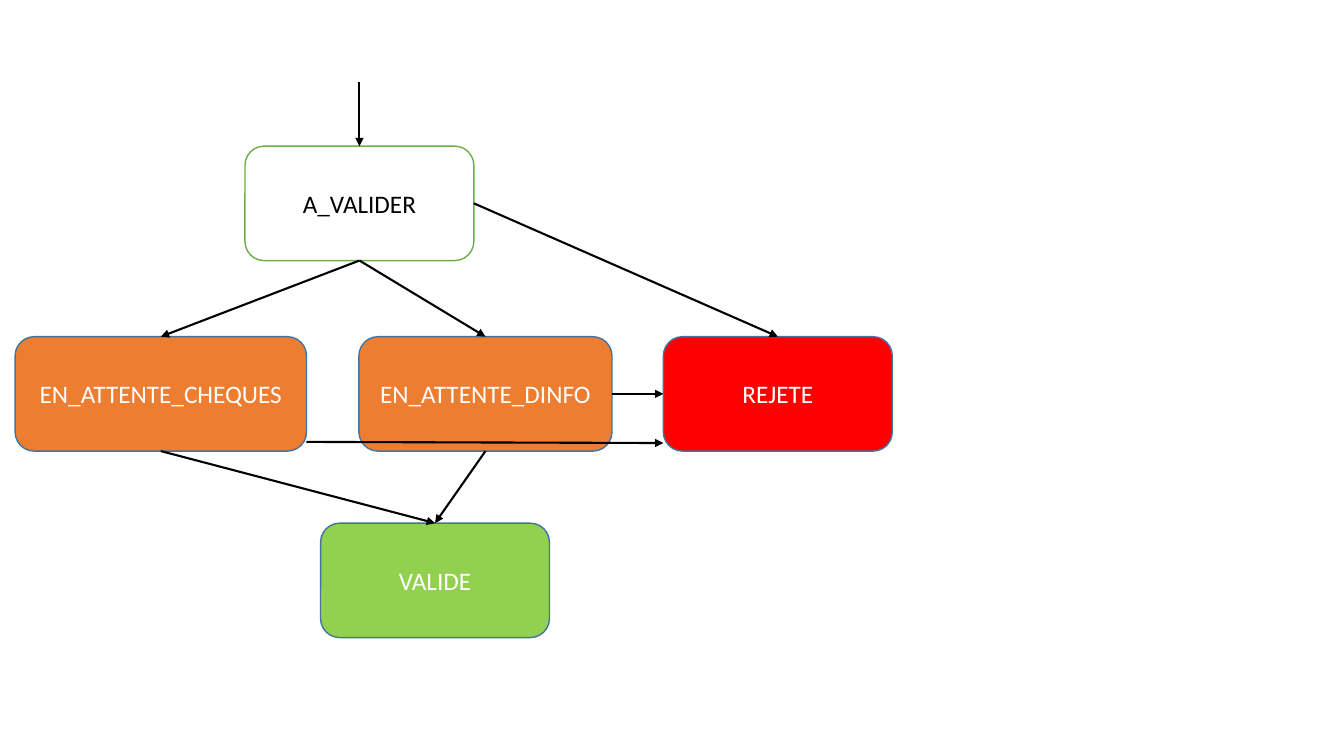
import pptx
import pptx.util
import pptx.dml.color
import pptx.enum.shapes
import pptx.enum.text
import pptx.oxml.ns
from lxml import etree
from dataclasses import dataclass


@dataclass(frozen=True)
class Theme:
    font: str = "Calibri"
    text_size: float = 18
    border_width: float = 1
    arrow_width: float = 1.5
    white: str = "FFFFFF"
    black: str = "000000"
    green_border: str = "70AD47"
    blue_border: str = "43739E"
    waiting: str = "ED7D31"
    accepted: str = "92D050"
    rejected: str = "FF0000"


THEME = Theme()
SLIDE_WIDTH, SLIDE_HEIGHT = 13.33, 7.5
STATE_HEIGHT = 1.135
ROW_TOPS = (1.45, 3.34, 5.19)

# state: (row, left, width, fill, border, text colour)
STATES = {
    "A_VALIDER": (0, 2.43, 2.27, THEME.white, THEME.green_border, THEME.black),
    "EN_ATTENTE_CHEQUES": (1, 0.15, 2.89, THEME.waiting, THEME.blue_border, THEME.white),
    "EN_ATTENTE_DINFO": (1, 3.56, 2.51, THEME.waiting, THEME.blue_border, THEME.white),
    "VALIDE": (2, 3.18, 2.27, THEME.accepted, THEME.blue_border, THEME.white),
    "REJETE": (1, 6.58, 2.27, THEME.rejected, THEME.blue_border, THEME.white),
}

# Connection sites of a rounded rectangle
TOP, LEFT, BOTTOM, RIGHT = range(4)

TRANSITIONS = [
    ("A_VALIDER", BOTTOM, "EN_ATTENTE_CHEQUES", TOP),
    ("A_VALIDER", BOTTOM, "EN_ATTENTE_DINFO", TOP),
    ("EN_ATTENTE_CHEQUES", BOTTOM, "VALIDE", TOP),
    ("EN_ATTENTE_DINFO", BOTTOM, "VALIDE", TOP),
    ("A_VALIDER", RIGHT, "REJETE", TOP),
    ("EN_ATTENTE_DINFO", RIGHT, "REJETE", LEFT),
]

ENTRY_LENGTH = 0.64
# Shares of the state height where the low arrow leaves and arrives
LOW_EXIT, LOW_ARRIVAL = 0.92, 0.93


def rgb(code):
    return pptx.dml.color.RGBColor.from_string(code)


def add_state(slide, label, row, left, width, fill, border, text_colour):
    state = slide.shapes.add_shape(
        pptx.enum.shapes.MSO_SHAPE.ROUNDED_RECTANGLE,
        *map(pptx.util.Inches, (left, ROW_TOPS[row], width, STATE_HEIGHT)))
    state.shadow.inherit = False
    state.fill.solid()
    state.fill.fore_color.rgb = rgb(fill)
    state.line.color.rgb = rgb(border)
    state.line.width = pptx.util.Pt(THEME.border_width)

    frame = state.text_frame
    frame.word_wrap = True
    frame.vertical_anchor = pptx.enum.text.MSO_ANCHOR.MIDDLE
    paragraph = frame.paragraphs[0]
    paragraph.alignment = pptx.enum.text.PP_ALIGN.CENTER
    run = paragraph.add_run()
    run.text = label
    run.font.name = THEME.font
    run.font.size = pptx.util.Pt(THEME.text_size)
    run.font.color.rgb = rgb(text_colour)
    return state


def add_arrow(slide, start=(0, 0), end=(0, 0)):
    arrow = slide.shapes.add_connector(
        pptx.enum.shapes.MSO_CONNECTOR.STRAIGHT,
        *(pptx.util.Emu(int(length)) for length in (*start, *end)))
    arrow.line.color.rgb = rgb(THEME.black)
    arrow.line.width = pptx.util.Pt(THEME.arrow_width)
    properties = arrow.element.spPr
    qn = pptx.oxml.ns.qn
    etree.SubElement(properties.find(qn("a:ln")), qn("a:tailEnd"), type="triangle")
    etree.SubElement(properties, qn("a:effectLst"))
    return arrow


def main():
    deck = pptx.Presentation()
    deck.slide_width = pptx.util.Inches(SLIDE_WIDTH)
    deck.slide_height = pptx.util.Inches(SLIDE_HEIGHT)
    slide = deck.slides.add_slide(deck.slide_layouts[6])

    states = {label: add_state(slide, label, *look) for label, look in STATES.items()}

    for source, exit_site, target, arrival_site in TRANSITIONS:
        arrow = add_arrow(slide)
        arrow.begin_connect(states[source], exit_site)
        arrow.end_connect(states[target], arrival_site)

    first = states["A_VALIDER"]
    entry_x = first.left + first.width / 2
    entry_top = first.top - pptx.util.Inches(ENTRY_LENGTH)
    entry = add_arrow(slide, (entry_x, entry_top), (entry_x, first.top))
    entry.end_connect(first, TOP)

    cheques, rejected = states["EN_ATTENTE_CHEQUES"], states["REJETE"]
    add_arrow(slide,
              (cheques.left + cheques.width, cheques.top + LOW_EXIT * cheques.height),
              (rejected.left, rejected.top + LOW_ARRIVAL * rejected.height))

    deck.save("out.pptx")


if __name__ == "__main__":
    main()
